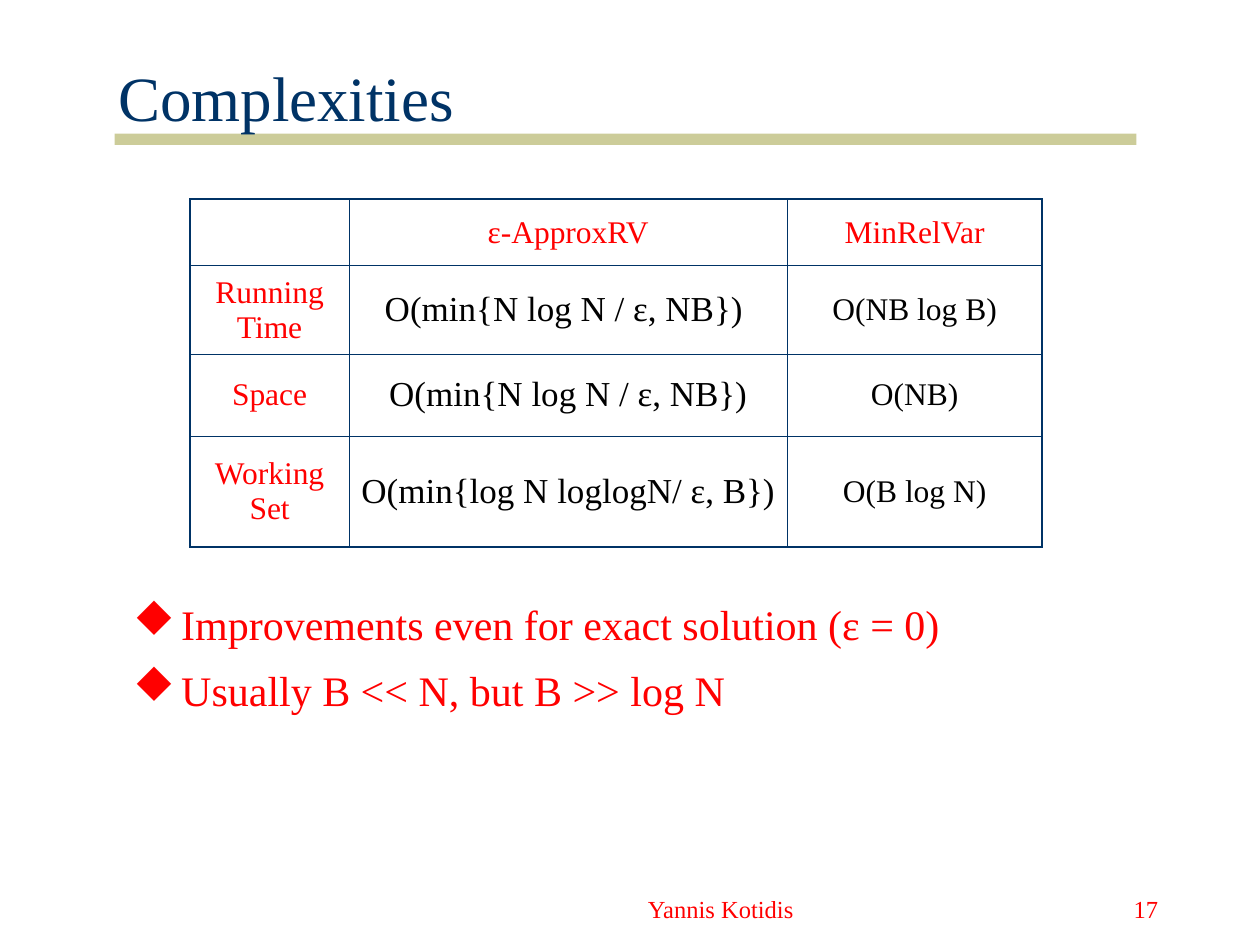
from lxml.etree import SubElement
from pptx import Presentation
from pptx.dml.color import RGBColor
from pptx.enum.shapes import MSO_SHAPE
from pptx.enum.text import MSO_ANCHOR as ANCHOR, PP_ALIGN as ALIGN
from pptx.oxml.ns import qn
from pptx.util import Inches, Pt

FONT = "Times New Roman"
NAVY, RED, BLACK, KHAKI = "003366", "FF0000", "000000", "CCCC99"
THIN, THICK = 0.45, 1.08

TITLE = "Complexities"
COMPLEXITIES = [
    ["", "ε-ApproxRV", "MinRelVar"],
    ["Running Time", "O(min{N log N / ε, NB}) ", "O(NB log B)"],
    ["Space", "O(min{N log N / ε, NB})", "O(NB)"],
    ["Working Set", "O(min{log N loglogN/ ε, B})", "O(B log N)"],
]
COLUMN_WIDTHS = [1.26, 3.48, 2.02]
ROW_HEIGHTS = [0.53, 0.7, 0.65, 0.88]
CELL_MARGIN = 0.08
REMARKS = [
    "Improvements even for exact solution (ε = 0)",
    "Usually B << N, but B >> log N",
]
FOOTERS = [
    ("Yannis Kotidis", (2.98, 6.88, 5.48, 0.5), ALIGN.CENTER),
    ("17", (8.46, 6.88, 0.83, 0.5), ALIGN.RIGHT),
]


def rgb(color):
    return RGBColor.from_string(color)


def write(paragraph, text, size, color, **formats):
    run = paragraph.add_run()
    run.text = text
    run.font.name, run.font.size = FONT, Pt(size)
    run.font.color.rgb = rgb(color)
    for name, value in formats.items():
        setattr(paragraph, name, value)


def add_text_frame(slide, box, anchor):
    frame = slide.shapes.add_textbox(*map(Inches, box)).text_frame
    frame.word_wrap = True
    frame.vertical_anchor = anchor
    return frame


def add_diamond_bullet(paragraph):
    """Add a hanging bullet; the letter u is a diamond in Wingdings."""
    props = paragraph._p.get_or_add_pPr()
    props.set("marL", str(Inches(0.38)))
    props.set("indent", str(-Inches(0.38)))
    color = SubElement(props, qn("a:buClr"))
    SubElement(color, qn("a:srgbClr"), val=RED)
    SubElement(props, qn("a:buFont"), typeface="Wingdings",
               pitchFamily="2", charset="2")
    SubElement(props, qn("a:buChar"), char="u")


def set_borders(cell, widths):
    props = cell._tc.get_or_add_tcPr()
    for index, (side, width) in enumerate(widths.items()):
        line = props.makeelement(qn(f"a:ln{side}"), {"w": str(Pt(width))})
        fill = SubElement(line, qn("a:solidFill"))
        SubElement(fill, qn("a:srgbClr"), val=NAVY)
        props.insert(index, line)


def add_complexity_table(slide):
    last_row, last_col = len(ROW_HEIGHTS) - 1, len(COLUMN_WIDTHS) - 1
    table = slide.shapes.add_table(
        last_row + 1, last_col + 1, Inches(1.51), Inches(1.58),
        Inches(sum(COLUMN_WIDTHS)), Inches(sum(ROW_HEIGHTS))).table
    table.first_row = table.horz_banding = False
    for column, width in zip(table.columns, COLUMN_WIDTHS):
        column.width = Inches(width)
    for row, height in zip(table.rows, ROW_HEIGHTS):
        row.height = Inches(height)

    for r, texts in enumerate(COMPLEXITIES):
        for c, text in enumerate(texts):
            cell = table.cell(r, c)
            cell.fill.background()
            cell.vertical_anchor = ANCHOR.MIDDLE
            cell.margin_left = cell.margin_right = Inches(CELL_MARGIN)
            is_header = r == 0 or c == 0
            size = 20 if c == 1 and not is_header else 18
            if text:
                write(cell.text_frame.paragraphs[0], text, size,
                      RED if is_header else BLACK,
                      alignment=ALIGN.CENTER, space_before=Pt(size / 4))
            outer = {"L": c == 0, "R": c == last_col,
                     "T": r == 0, "B": r == last_row}
            set_borders(cell, {side: THICK if edge else THIN
                               for side, edge in outer.items()})


def main():
    deck = Presentation()
    deck.slide_width, deck.slide_height = Inches(10), Inches(7.5)
    slide = deck.slides.add_slide(deck.slide_layouts[6])

    rule = slide.shapes.add_shape(
        MSO_SHAPE.RECTANGLE, *map(Inches, (0.91, 1.06, 8.11, 0.09)))
    rule.shadow.inherit = False
    rule.fill.solid()
    rule.fill.fore_color.rgb = rgb(KHAKI)
    rule.line.fill.background()

    title = add_text_frame(slide, (0.84, 0.3, 8.2, 1.03), ANCHOR.MIDDLE)
    write(title.paragraphs[0], TITLE, 36, NAVY, line_spacing=0.85)

    remarks = add_text_frame(slide, (0.96, 4.66, 8.08, 1.89), ANCHOR.TOP)
    for index, text in enumerate(REMARKS):
        paragraph = remarks.add_paragraph() if index else remarks.paragraphs[0]
        write(paragraph, text, 24, RED, line_spacing=1.1, space_before=Pt(6))
        add_diamond_bullet(paragraph)

    add_complexity_table(slide)

    for text, box, alignment in FOOTERS:
        footer = add_text_frame(slide, box, ANCHOR.BOTTOM)
        write(footer.paragraphs[0], text, 14, RED, alignment=alignment)

    deck.save("out.pptx")


if __name__ == "__main__":
    main()
